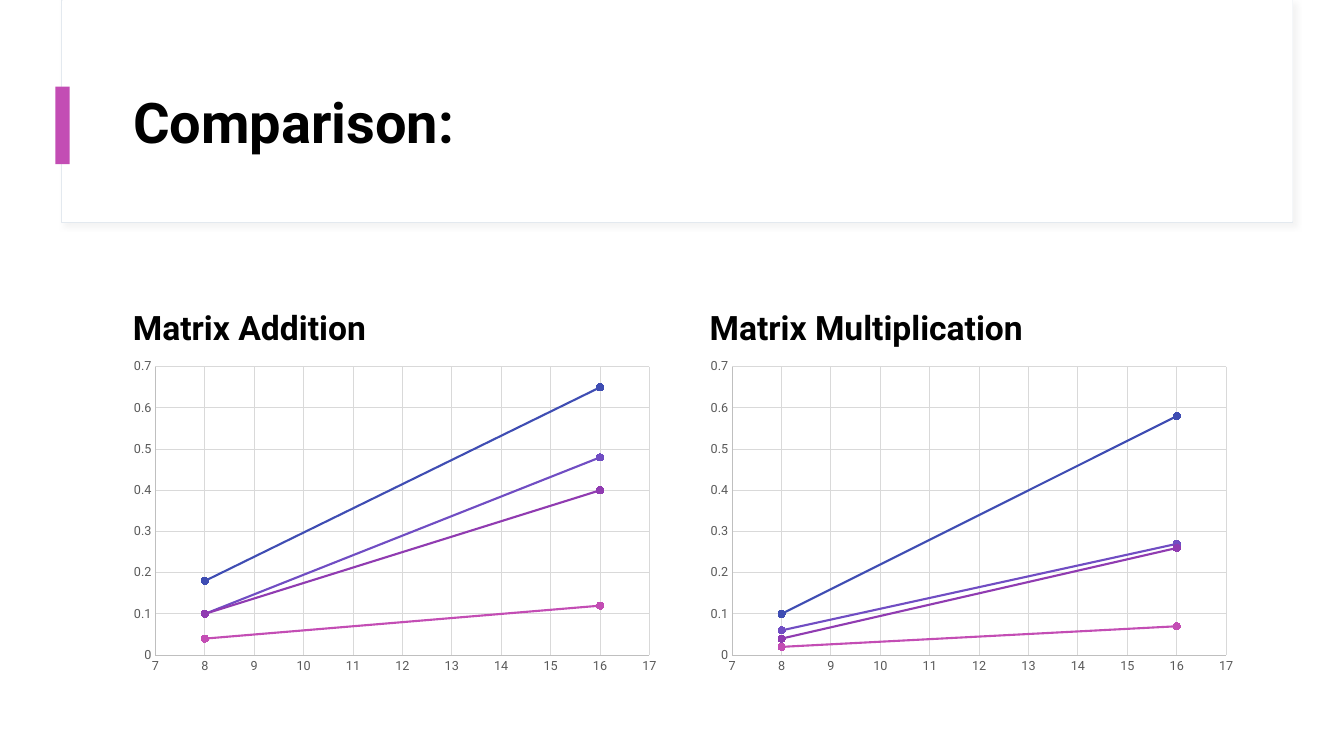
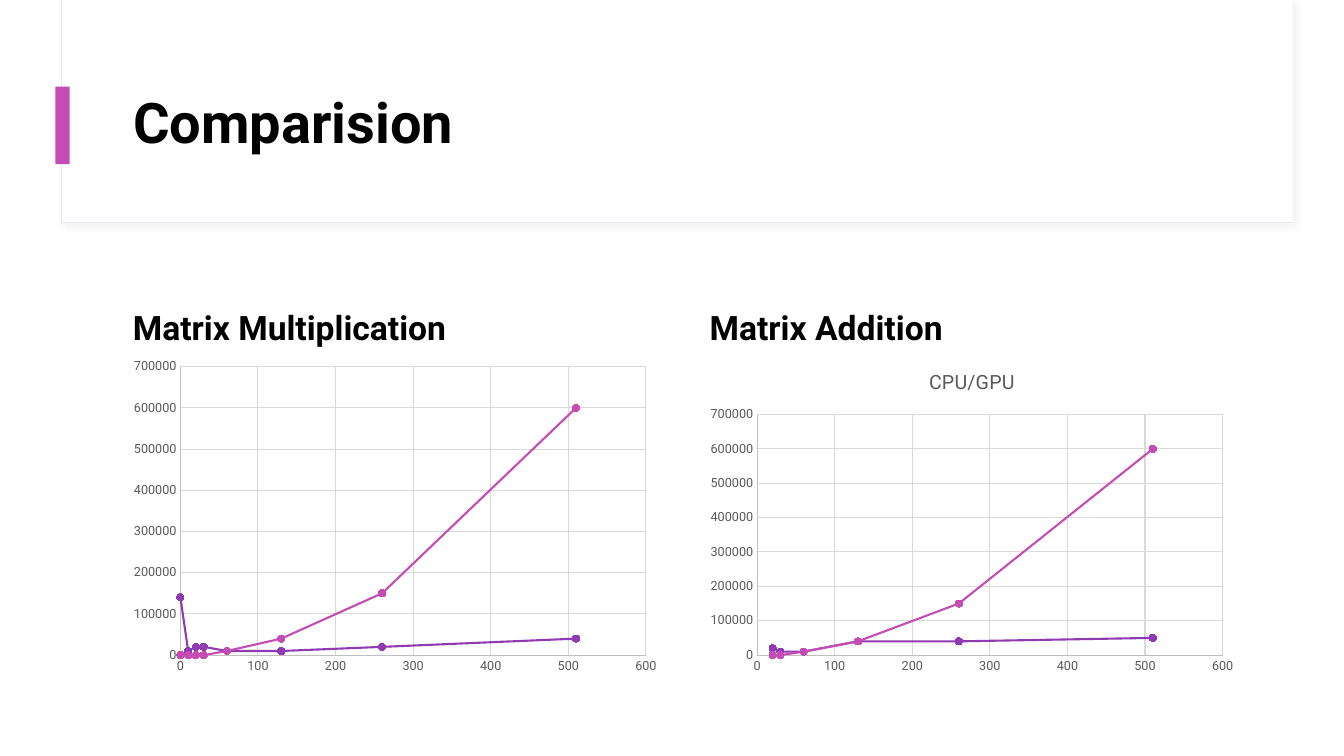
from lxml import etree
from pptx import Presentation
from pptx.chart.data import XyChartData
from pptx.dml.color import RGBColor
from pptx.enum.chart import XL_CHART_TYPE, XL_MARKER_STYLE, XL_TICK_MARK
from pptx.enum.shapes import MSO_SHAPE
from pptx.enum.text import MSO_ANCHOR, MSO_AUTO_SIZE, PP_ALIGN
from pptx.oxml.ns import qn
from pptx.util import Inches, Pt

RECT = MSO_SHAPE.RECTANGLE
SCATTER = XL_CHART_TYPE.XY_SCATTER_LINES
CIRCLE = XL_MARKER_STYLE.CIRCLE
NO_TICK = XL_TICK_MARK.NONE
LEFT = PP_ALIGN.LEFT
MIDDLE, BOTTOM = MSO_ANCHOR.MIDDLE, MSO_ANCHOR.BOTTOM
NO_FIT = MSO_AUTO_SIZE.NONE

FONT = "Roboto"
BLACK = RGBColor(0x00, 0x00, 0x00)
WHITE = RGBColor(0xFF, 0xFF, 0xFF)
PINK = RGBColor(0xC3, 0x4D, 0xB4)
PURPLE = RGBColor(0x90, 0x3B, 0xB1)
VIOLET = RGBColor(0x70, 0x4D, 0xC3)
BLUE = RGBColor(0x3F, 0x4D, 0xB3)
BAND_LINE = RGBColor(0xE3, 0xE9, 0xEF)
GRID = RGBColor(0xD9, 0xD9, 0xD9)
AXIS = RGBColor(0xBF, 0xBF, 0xBF)
LABEL = RGBColor(0x59, 0x59, 0x59)
SERIES_COLORS = (PINK, PURPLE, VIOLET, BLUE)

COLUMN_LEFTS = (1.22, 6.94)
COLUMN_WIDTH = 5.4

# Axis scale: minimum, maximum, step
SMALL_SCALES = ((7, 17, 1), (0, 0.7, 0.1))
LARGE_SCALES = ((0, 600, 100), (0, 700000, 100000))
SMALL_SIZES = (8, 16)
LARGE_SIZES = (0, 10, 20, 30, 60, 130, 260, 510)

# Panel: heading, x values, series values, scales, chart title
SLIDES = (
    ("Comparison:", (
        ("Matrix Addition", SMALL_SIZES,
         ((0.04, 0.12), (0.1, 0.4), (0.1, 0.48), (0.18, 0.65)),
         SMALL_SCALES, None),
        ("Matrix Multiplication", SMALL_SIZES,
         ((0.02, 0.07), (0.04, 0.26), (0.06, 0.27), (0.1, 0.58)),
         SMALL_SCALES, None),
    )),
    ("Comparision", (
        ("Matrix Multiplication", LARGE_SIZES,
         ((0, 0, 0, 0, 10000, 40000, 150000, 600000),
          (140000, 10000, 20000, 20000, 10000, 10000, 20000, 40000)),
         LARGE_SCALES, None),
        ("Matrix Addition", LARGE_SIZES[2:],
         ((0, 0, 10000, 40000, 150000, 600000),
          (20000, 10000, 10000, 40000, 40000, 50000)),
         LARGE_SCALES, "CPU/GPU"),
    )),
)


def style_font(font, size, color, bold=False):
    font.name = FONT
    font.size = Pt(size)
    font.bold = bold
    font.color.rgb = color


def style_line(line, color, width=0.75):
    line.color.rgb = color
    line.width = Pt(width)


def add_rect(slide, box, fill, line=None):
    sp = slide.shapes.add_shape(RECT, *map(Inches, box))
    sp.shadow.inherit = False
    sp.fill.solid()
    sp.fill.fore_color.rgb = fill
    if line is None:
        sp.line.fill.background()
    else:
        style_line(sp.line, line)
    return sp


def add_soft_shadow(sp):
    effects = sp.element.spPr.find(qn("a:effectLst"))
    shadow = etree.SubElement(effects, qn("a:outerShdw"), blurRad=str(Pt(4)),
                              dist=str(Pt(3)), dir=str(45 * 60000))
    color = etree.SubElement(shadow, qn("a:srgbClr"), val=str(GRID))
    etree.SubElement(color, qn("a:alpha"), val="30000")


def add_header_to_layout(layout, slide):
    """Draw the title band on a slide, then move it to the shared layout."""
    frame = add_rect(slide, (0.61, 0, 12.21, 2.21), WHITE, BAND_LINE)
    add_soft_shadow(frame)
    panel = add_rect(slide, (0.62, 0, 12.2, 2.2), WHITE)
    accent = add_rect(slide, (0.55, 0.86, 0.14, 0.77), PINK)
    tree = layout.element.cSld.spTree
    for i, sp in enumerate((frame, panel, accent)):
        sp.element.nvSpPr.cNvPr.id = 20 + i
        tree.insert(2 + i, sp.element)


def set_text(sp, text, size, anchor, spacing):
    tf = sp.text_frame
    tf.word_wrap = True
    tf.auto_size = NO_FIT
    tf.vertical_anchor = anchor
    p = tf.paragraphs[0]
    p.text = text
    p.alignment = LEFT
    p.line_spacing = spacing
    style_font(p.font, size, BLACK, True)


def set_title(slide, text):
    title = slide.shapes.title
    title.left, title.top = Inches(1.22), Inches(0.6)
    title.width, title.height = Inches(11.12), Inches(1.29)
    set_text(title, text, 40, MIDDLE, 0.9)


def style_axis(axis, scale):
    axis.minimum_scale, axis.maximum_scale, axis.major_unit = scale
    axis.major_tick_mark = axis.minor_tick_mark = NO_TICK
    axis.has_major_gridlines = True
    style_line(axis.major_gridlines.format.line, GRID)
    style_line(axis.format.line, AXIS)
    style_font(axis.tick_labels.font, 9, LABEL)
    axis.tick_labels.number_format = "General"
    axis.tick_labels.number_format_is_linked = False


def add_scatter(slide, left, sizes, series_values, scales, title):
    data = XyChartData()
    for number, values in enumerate(series_values, 1):
        series = data.add_series(f"Series {number}")
        for x, y in zip(sizes, values):
            series.add_data_point(x, y)
    chart = slide.shapes.add_chart(
        SCATTER, Inches(left), Inches(3.5), Inches(COLUMN_WIDTH),
        Inches(3.25), data).chart
    style_font(chart.font, 10, BLACK)
    chart.has_legend = False
    chart.has_title = title is not None
    if title:
        chart.chart_title.include_in_layout = False
        p = chart.chart_title.text_frame.paragraphs[0]
        p.text = title
        style_font(p.font, 14, LABEL)
    plot = chart.plots[0]
    plot.vary_by_categories = False
    for series, color in zip(plot.series, SERIES_COLORS):
        series.smooth = False
        style_line(series.format.line, color, 1.5)
        marker = series.marker
        marker.style = CIRCLE
        marker.size = 5
        marker.format.fill.solid()
        marker.format.fill.fore_color.rgb = color
        style_line(marker.format.line, color)
    for axis, scale in zip((chart.category_axis, chart.value_axis), scales):
        style_axis(axis, scale)


def add_panel(slide, left, heading, *chart_args):
    box = slide.shapes.add_textbox(Inches(left), Inches(2.59),
                                   Inches(COLUMN_WIDTH), Inches(0.9))
    set_text(box, heading, 24, BOTTOM, 1.1)
    add_scatter(slide, left, *chart_args)


def main():
    prs = Presentation()
    prs.slide_width, prs.slide_height = Inches(13.33), Inches(7.5)
    layout = prs.slide_layouts.get_by_name("Title Only")
    slides = [prs.slides.add_slide(layout) for _ in SLIDES]
    add_header_to_layout(layout, slides[0])
    for slide, (title, panels) in zip(slides, SLIDES):
        set_title(slide, title)
        for left, panel in zip(COLUMN_LEFTS, panels):
            add_panel(slide, left, *panel)
    prs.save("out.pptx")


if __name__ == "__main__":
    main()
